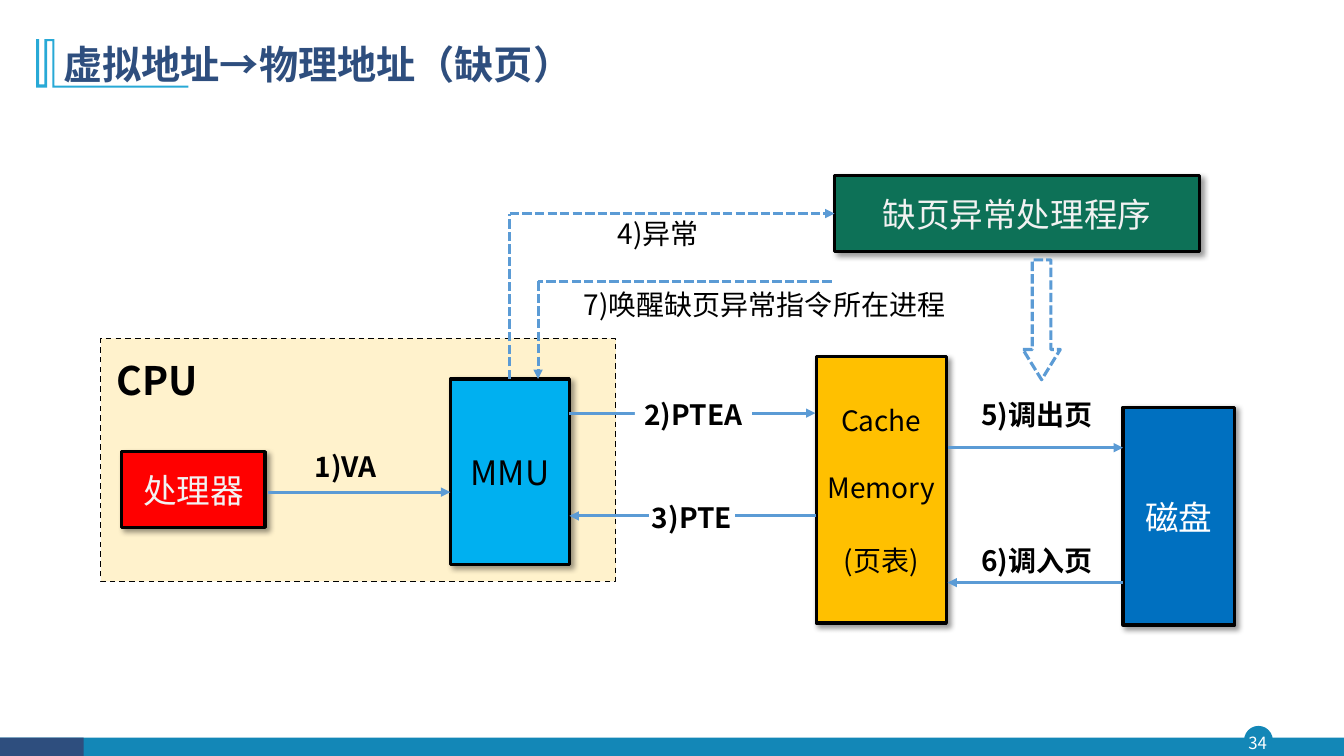
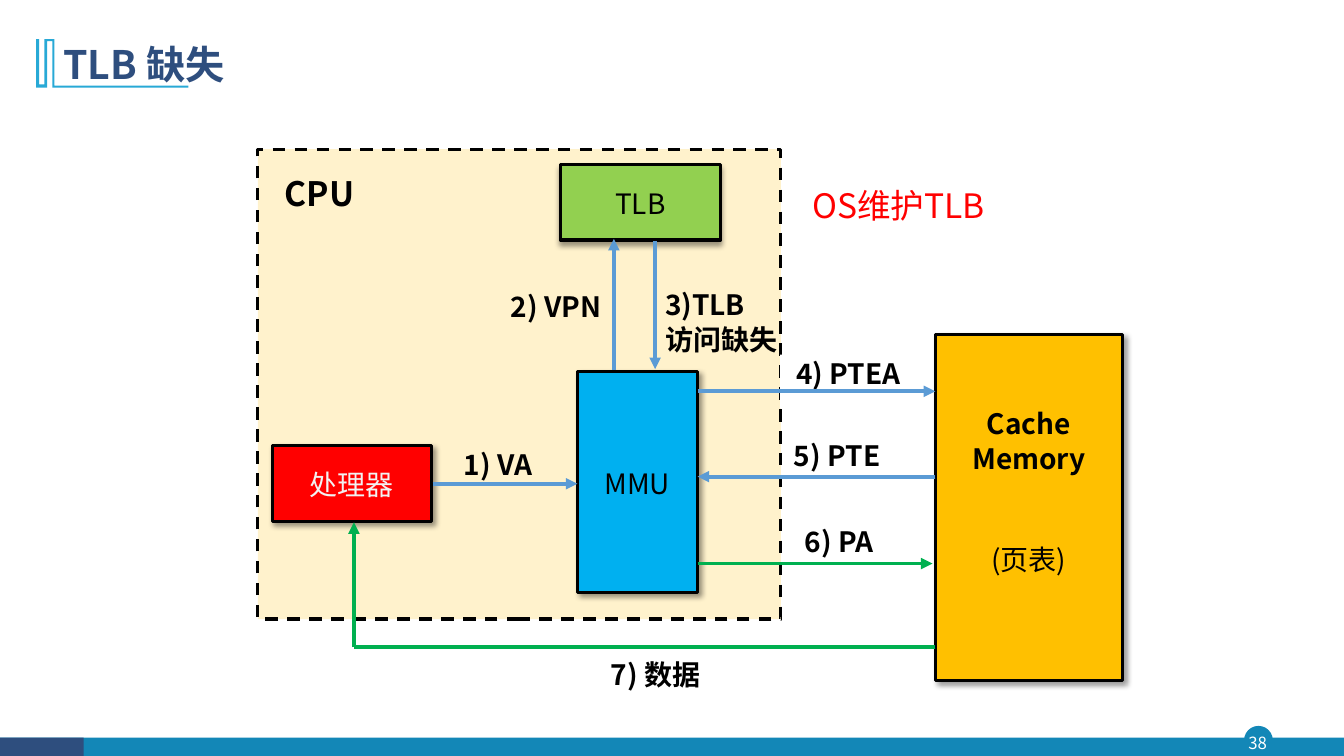
"""Build two slides on address translation: a page fault and a TLB miss."""
from lxml import etree
from pptx import Presentation
from pptx.dml.color import RGBColor
from pptx.enum.dml import MSO_LINE
from pptx.enum.shapes import MSO_CONNECTOR, MSO_SHAPE
from pptx.enum.text import MSO_ANCHOR, PP_ALIGN
from pptx.oxml.ns import qn
from pptx.util import Cm, Pt

C = {
    "navy": "2E4E7E", "band": "1387B7", "mark": "28A9D6", "arrow": "5B9BD5",
    "data": "00B050", "cream": "FFF2CC", "sky": "00B0F0", "red": "FF0000",
    "disk": "0070C0", "amber": "FFC000", "handler": "0D7157", "tlb": "92D050",
    "black": "000000", "white": "FFFFFF", "pale": "F2F2F2",
}
FONT = "Noto Sans CJK SC"
RECT = MSO_SHAPE.RECTANGLE
LEFT, CENTER, RIGHT = PP_ALIGN.LEFT, PP_ALIGN.CENTER, PP_ALIGN.RIGHT
DASH, DOTS = MSO_LINE.DASH, MSO_LINE.SQUARE_DOT
MARK = [
    (1.37, 0.99), (1.37, 2.16), (4.75, 2.16), (4.75, 2.21), (1.32, 2.21),
    (1.32, 1.04), (1.19, 1.04), (1.19, 2.21), (0.91, 2.21), (0.91, 0.99),
    (0.99, 0.99), (0.99, 2.13), (1.12, 2.13), (1.12, 0.99),
]


def add_box(s, at, text="", kind=None, fill=None, line=None, width=2.25, dash=None,
            shadow=None, size=20, bold=False, color="black", align=CENTER,
            anchor=MSO_ANCHOR.TOP, gaps=(), plain=(), bottom=0):
    """Add a shape, or a text box when no kind is given."""
    at = [Cm(v) for v in at]
    sp = s.shapes.add_shape(kind, *at) if kind else s.shapes.add_textbox(*at)
    if fill:
        sp.fill.solid()
        sp.fill.fore_color.rgb = RGBColor.from_string(C[fill])
    else:
        sp.fill.background()
    if line:
        sp.line.color.rgb = RGBColor.from_string(C[line])
        sp.line.width = Pt(width)
        sp.line.dash_style = dash
    else:
        sp.line.fill.background()
    if kind:
        sp.shadow.inherit = False
    if shadow:
        effects = sp.element.spPr.find(qn("a:effectLst"))
        outer = etree.SubElement(effects, qn("a:outerShdw"), blurRad=str(Pt(4)),
                                 dist=str(Pt(3)), dir=str(shadow * 60000))
        clr = etree.SubElement(outer, qn("a:srgbClr"), val=C["black"])
        etree.SubElement(clr, qn("a:alpha"), val="40000")
    if not text:
        return sp
    tf = sp.text_frame
    frame = {"word_wrap": True, "vertical_anchor": anchor, "margin_left": 0,
             "margin_top": 0, "margin_right": 0, "margin_bottom": Cm(bottom)}
    for name, value in frame.items():
        setattr(tf, name, value)
    for i, words in enumerate(text.split("\n")):
        p = tf.add_paragraph() if i else tf.paragraphs[0]
        p.alignment = align
        p.line_spacing = Pt(size * 1.25)
        if i and gaps:
            p.space_before = Pt(gaps[i - 1])
        r = p.add_run()
        r.text = words
        for name, value in {"name": FONT, "size": Pt(size),
                            "bold": bold and i not in plain}.items():
            setattr(r.font, name, value)
        r.font.color.rgb = RGBColor.from_string(C[color])
        etree.SubElement(r.font._element, qn("a:ea"), typeface=FONT)
    return sp


def add_arrow(s, points, width, color="arrow", dash=None):
    """Join the points by straight lines, with an arrowhead at the last one."""
    for a, b in zip(points, points[1:]):
        cx = s.shapes.add_connector(MSO_CONNECTOR.STRAIGHT, *[Cm(v) for v in a + b])
        cx.line.color.rgb = RGBColor.from_string(C[color])
        cx.line.width = Pt(width)
        cx.line.dash_style = dash
        etree.SubElement(cx.element.spPr, qn("a:effectLst"))
    etree.SubElement(cx.line._ln, qn("a:tailEnd"), type="triangle")


BLOCK = {"kind": RECT, "line": "black", "shadow": 45, "anchor": MSO_ANCHOR.MIDDLE}
BIG = {**BLOCK, "size": 24}
PANEL = {"kind": RECT, "fill": "cream", "line": "black", "dash": DASH}
BOLD = {"bold": True}
MASK = {"bold": True, "fill": "white"}
GREEN = {"color": "data"}
DOTTED = {"dash": DOTS}

slides = [
    {
        "title": "虚拟地址→物理地址（缺页）", "number": "34", "weight": 2.25,
        "boxes": [
            ((2.54, 8.53, 12.98, 6.12), "", {**PANEL, "width": 1}),
            ((11.35, 9.55, 3, 4.67), "MMU", {**BIG, "fill": "sky"}),
            ((3.07, 11.38, 3.61, 1.91), "处理器", {**BIG, "fill": "red", "color": "pale"}),
            ((28.3, 10.26, 2.82, 5.49), "磁盘", {**BIG, "fill": "disk", "color": "white"}),
            ((20.57, 8.99, 3.28, 6.71), "Cache\nMemory\n(页表)",
             {**BLOCK, "fill": "amber", "gaps": (23, 27)}),
            ((21.03, 4.42, 9.19, 1.91), "缺页异常处理程序",
             {**BIG, "fill": "handler", "color": "pale"}),
            ((25.78, 6.55, 0.94, 3.02), "",
             {"kind": MSO_SHAPE.DOWN_ARROW, "line": "arrow", "dash": DOTS}),
            ((2.13, 8.92, 3.68, 1.09), "CPU", {"size": 28, "bold": True}),
            ((7.52, 11.28, 2.39, 1.02), "1)VA", BOLD),
            ((15.39, 5.41, 2.39, 1.02), "4)异常", {}),
            ((24.18, 9.98, 3.91, 1.02), "5)调出页", BOLD),
            ((24.18, 13.67, 3.91, 1.02), "6)调入页", BOLD),
            ((14.71, 7.21, 10.03, 1.07), "7)唤醒缺页异常指令所在进程", {"align": LEFT}),
        ],
        "arrows": [
            ([(6.76, 12.4), (11.35, 12.4)], {}),
            ([(14.35, 10.41), (20.55, 10.41)], {}),
            ([(20.57, 13), (14.35, 13)], {}),
            ([(12.85, 9.55), (12.85, 5.38), (21.03, 5.38)], DOTTED),
            ([(23.88, 11.28), (28.3, 11.28)], {}),
            ([(28.3, 14.68), (23.88, 14.68)], {}),
            ([(20.96, 7.09), (13.56, 7.09), (13.56, 9.55)], DOTTED),
        ],
        "masks": [
            ((16, 9.98, 2.95, 1.02), "2)PTEA", MASK),
            ((16.36, 12.57, 2.16, 1.02), "3)PTE", MASK),
        ],
    },
    {
        "title": "TLB 缺失", "number": "38", "weight": 2.75,
        "boxes": [
            ((6.5, 3.76, 13.18, 11.84), "", PANEL),
            ((14.12, 4.14, 4.04, 1.91), "TLB", {**BLOCK, "fill": "tlb", "shadow": 90}),
            ((6.86, 11.23, 4.01, 1.91), "处理器", {**BLOCK, "fill": "red", "color": "pale"}),
            ((14.55, 9.37, 3.02, 5.56), "MMU", {**BLOCK, "fill": "sky"}),
            ((23.57, 8.43, 4.72, 8.71), "Cache\nMemory\n(页表)",
             {**BLOCK, "fill": "amber", "bold": True, "plain": (2,),
              "gaps": (0, 47), "bottom": 0.84}),
            ((6.86, 4.32, 2.39, 1.22), "CPU", {"size": 24, "bold": True}),
            ((11.28, 11.23, 2.54, 1.17), "1) VA", BOLD),
            ((11.25, 7.26, 3.91, 1.17), "2) VPN", {"bold": True, "align": RIGHT}),
            ((16.76, 7.21, 3.38, 1.8), "3)TLB\n访问缺失", {"bold": True, "align": LEFT}),
            ((19.66, 8.94, 3.45, 1.35), "4) PTEA", MASK),
            ((19.41, 11.02, 3.38, 1.35), "5) PTE", BOLD),
            ((19.46, 13.18, 3.38, 1.35), "6) PA", BOLD),
            ((14.63, 16.54, 3.78, 1.22), "7) 数据", BOLD),
            ((20.47, 4.62, 6.8, 1.2), "OS维护TLB",
             {"size": 24, "color": "red", "align": LEFT}),
        ],
        "arrows": [
            ([(10.9, 12.19), (14.55, 12.19)], {}),
            ([(15.47, 9.32), (15.47, 6.02)], {}),
            ([(16.51, 6.07), (16.51, 9.3)], {}),
            ([(17.58, 9.86), (23.57, 9.86)], {}),
            ([(23.57, 12.01), (17.58, 12.01)], {}),
            ([(17.58, 14.2), (23.5, 14.2)], GREEN),
            ([(23.57, 16.31), (8.92, 16.31), (8.92, 13.16)], GREEN),
        ],
        "masks": [],
    },
]

prs = Presentation()
prs.slide_width, prs.slide_height = Cm(33.87), Cm(19.05)

for data in slides:
    s = prs.slides.add_slide(prs.slide_layouts[6])
    add_box(s, (31.37, 18.31, 0.69, 0.69), kind=MSO_SHAPE.OVAL, fill="band",
            line="band", width=1)
    add_box(s, (0, 18.59, 33.87, 0.46), kind=RECT, fill="band")
    add_box(s, (0, 18.59, 2.11, 0.46), kind=RECT, fill="navy")
    add_box(s, (31.29, 18.31, 0.81, 0.79), data["number"], size=12, color="white",
            anchor=MSO_ANCHOR.MIDDLE)
    corners = [(Cm(x), Cm(y)) for x, y in MARK]
    fb = s.shapes.build_freeform(*corners[0])
    fb.add_line_segments(corners[1:])
    sp = fb.convert_to_shape()
    sp.shadow.inherit = False
    sp.fill.solid()
    sp.fill.fore_color.rgb = RGBColor.from_string(C["mark"])
    sp.line.fill.background()
    add_box(s, (1.6, 0.71, 28.7, 1.73), data["title"], size=28, bold=True,
            color="navy", align=LEFT, anchor=MSO_ANCHOR.MIDDLE)

    for at, text, style in data["boxes"]:
        sp = add_box(s, at, text, **style)
        if style.get("kind") == MSO_SHAPE.DOWN_ARROW:
            sp.adjustments[0], sp.adjustments[1] = 0.5, 0.81
    for points, style in data["arrows"]:
        add_arrow(s, points, data["weight"], **style)
    for at, text, style in data["masks"]:
        add_box(s, at, text, **style)

prs.save("out.pptx")
